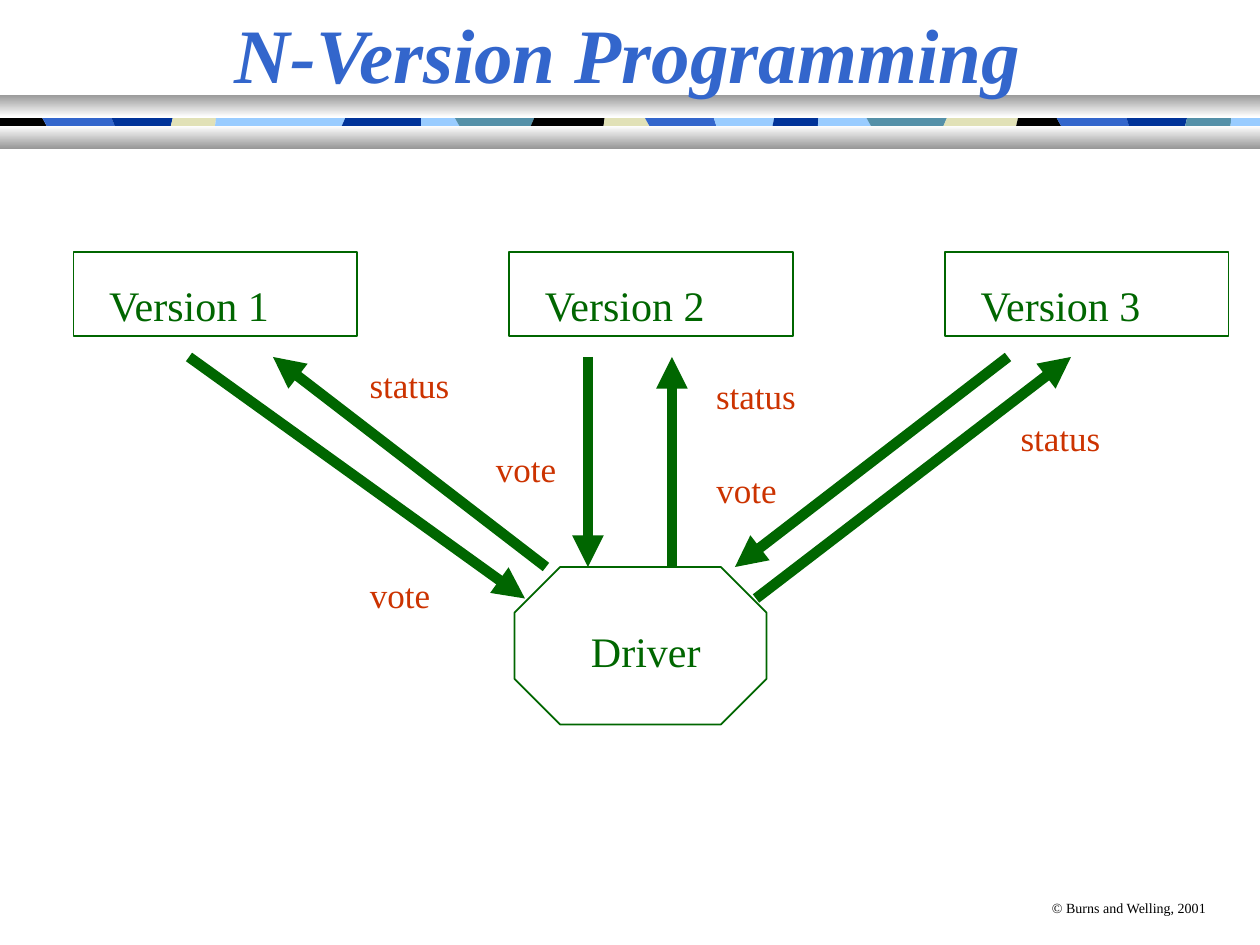
from lxml.etree import SubElement
from pptx import Presentation
from pptx.dml.color import RGBColor as RGB
from pptx.enum.shapes import MSO_CONNECTOR as LINK, MSO_SHAPE as SHAPE
from pptx.enum.text import MSO_ANCHOR as ANCHOR, PP_ALIGN as ALIGN
from pptx.oxml.ns import qn
from pptx.util import Inches, Pt

BLACK = RGB(0x00, 0x00, 0x00)
WHITE = RGB(0xFF, 0xFF, 0xFF)
GREY = RGB(0x98, 0x98, 0x98)
BLUE = RGB(0x33, 0x66, 0xCC)
NAVY = RGB(0x00, 0x33, 0x99)
SKY = RGB(0x99, 0xCC, 0xFF)
TEAL = RGB(0x54, 0x90, 0xA8)
TAN = RGB(0xE1, 0xE1, 0xB7)
GREEN = RGB(0x00, 0x66, 0x00)
RED = RGB(0xCC, 0x33, 0x00)

deck = Presentation()
deck.slide_width, deck.slide_height = Inches(10), Inches(7.5)
slide = deck.slides.add_slide(deck.slide_layouts[6])
shapes = slide.shapes
CELL = deck.slide_width / 120


def grid(*cells):
    return [round(cell * CELL) for cell in cells]


def write(words, area, size, color, align=ALIGN.CENTER, wrap=False, strong=False):
    frame = shapes.add_textbox(*grid(*area)).text_frame
    frame.word_wrap = wrap
    frame.vertical_anchor = ANCHOR.MIDDLE
    para = frame.paragraphs[0]
    para.alignment = align
    run = para.add_run()
    run.text = words
    font = run.font
    font.name, font.size = "Times New Roman", Pt(size)
    font.bold = font.italic = strong
    font.color.rgb = color


edges = [
    (0, 0), (4.4, 1.9), (10.9, 1.4), (16.3, -0.8), (20.5, -0.4),
    (32.6, -1.5), (40.1, 0), (43.7, 1.9), (50.6, -1.5), (57.5, -0.5),
    (61.8, 1.9), (68.2, 1.1), (73.6, -0.7), (77.9, -0.3), (82.9, 1.9),
    (89.9, -1.5), (96.8, -0.8), (101, 1.9), (107.5, 1.1), (112.9, -0.8),
    (117.2, -0.4), (120, 0),
]
tints = [
    BLACK, BLUE, NAVY, TAN, SKY, NAVY, SKY, TEAL, BLACK, TAN, BLUE,
    SKY, NAVY, SKY, TEAL, TAN, BLACK, BLUE, NAVY, TEAL, SKY,
]
TOP, FOOT = 10.2, 13.6
for tint, (left, tilt), (right, lean) in zip(tints, edges, edges[1:]):
    pen = shapes.build_freeform(*grid(left - tilt / 2, TOP))
    pen.add_line_segments([
        grid(right - lean / 2, TOP),
        grid(right + lean / 2, FOOT),
        grid(left + tilt / 2, FOOT),
    ])
    tile = pen.convert_to_shape()
    tile.shadow.inherit = False
    tile.fill.solid()
    tile.fill.fore_color.rgb = tint
    tile.line.fill.background()

for row, shades in [(9, (GREY, WHITE)), (12, (WHITE, GREY))]:
    bar = shapes.add_shape(SHAPE.RECTANGLE, *grid(0, row, 120, 2.15))
    bar.shadow.inherit = False
    bar.line.fill.background()
    bar.fill.gradient()
    bar.fill.gradient_angle = 270
    for stop, shade, place in zip(bar.fill.gradient_stops, shades, (0, 1)):
        stop.color.rgb = shade
        stop.position = place

write("© Burns and Welling, 2001", (99, 85, 17.2, 2.9), 8, BLACK, ALIGN.LEFT)
write("N-Version Programming", (0, 0, 119.6, 10), 44, BLUE, wrap=True, strong=True)

nodes = [
    (f"Version {num}", SHAPE.RECTANGLE, (7 + 41.5 * (num - 1), 24, 27, 8), (2, 2, 18, 6))
    for num in (1, 2, 3)
]
nodes.append(("Driver", SHAPE.OCTAGON, (49, 54, 24, 15), (6.1, 5, 12.8, 6)))
for words, kind, area, (right, down, wide, high) in nodes:
    node = shapes.add_shape(kind, *grid(*area))
    node.shadow.inherit = False
    node.fill.background()
    node.line.color.rgb = GREEN
    node.line.width = Pt(1)
    if kind == SHAPE.OCTAGON:
        node.adjustments[0] = 0.29
    write(words, (area[0] + right, area[1] + down, wide, high), 24, GREEN)

arrows = [
    (18, 34, 50, 57), (52, 54, 26, 34), (96, 34, 70, 54),
    (72, 57, 102, 34), (56, 34, 56, 54), (64, 54, 64, 34),
]
for ends in arrows:
    arrow = shapes.add_connector(LINK.STRAIGHT, *grid(*ends))
    arrow.line.color.rgb = GREEN
    arrow.line.width = Pt(6)
    SubElement(arrow.line._get_or_add_ln(), qn("a:tailEnd"), type="triangle")
    SubElement(arrow._element.spPr, qn("a:effectLst"))

labels = [
    ("vote", 8.2, [(34, 54), (67, 44), (46, 42)]),
    ("status", 10, [(34, 34), (67, 35), (96, 39)]),
]
for words, wide, spots in labels:
    for col, row in spots:
        write(words, (col, row, wide, 5.3), 20, RED)

deck.save("out.pptx")
